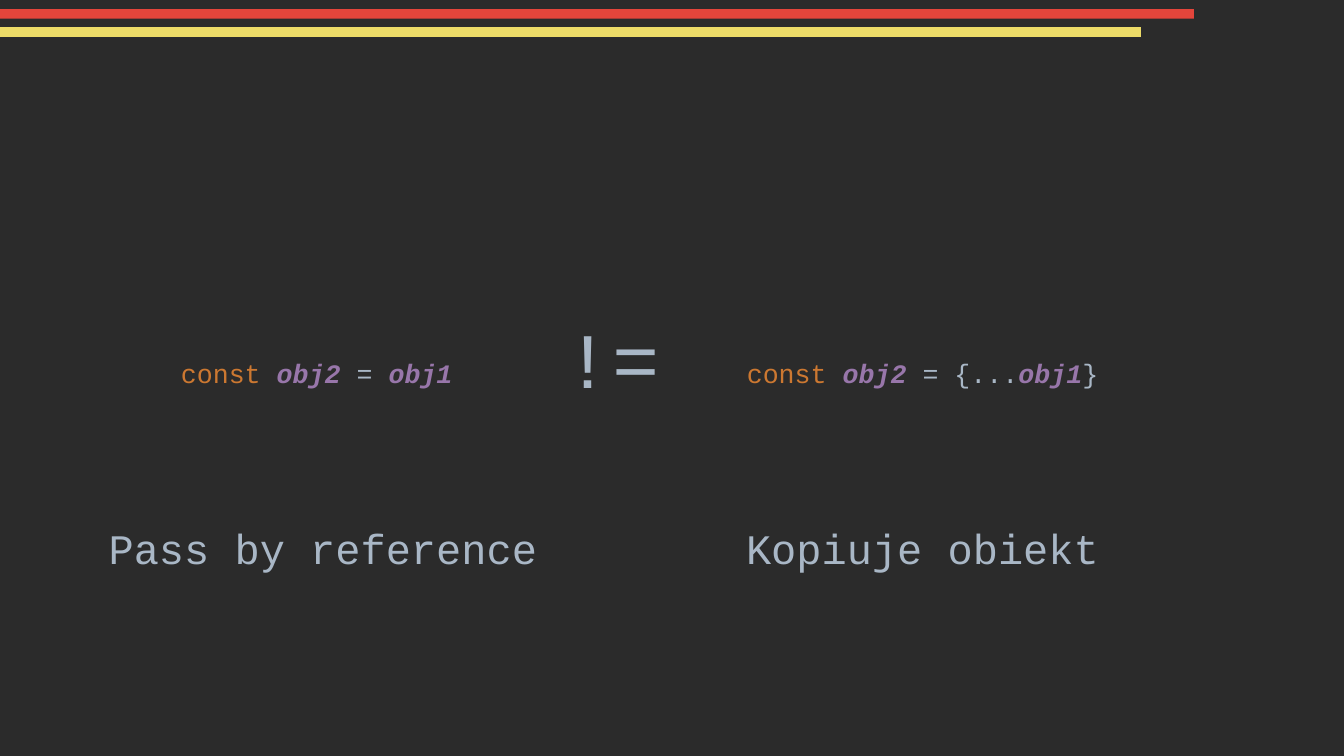
from pptx import Presentation
from pptx.dml.color import RGBColor
from pptx.enum.shapes import MSO_SHAPE
from pptx.enum.text import MSO_ANCHOR, PP_ALIGN
from pptx.util import Inches, Pt

FONT = "Courier New"
BACKGROUND, YELLOW, RED = "2B2B2B", "ECDB68", "E3453B"
PLAIN, KEYWORD, NAME = "A9B7C6", "CC7831", "9876AA"

# left, top, width, height, colour
BARS = [
    (-0.16, 0.54, 22.8, 0.19, YELLOW),
    (-1.2, 0.18, 24.89, 0.19, RED),
]

# left, width, spans of (text, colour)
SNIPPETS = [
    (3.53, 7.96, [("const ", KEYWORD), ("obj2 ", NAME), ("= ", PLAIN),
                  ("obj1", NAME)]),
    (14.76, 11.53, [("const ", KEYWORD), ("obj2 ", NAME), ("= {...", PLAIN),
                    ("obj1", NAME), ("}", PLAIN)]),
]
SNIPPET_TOP, SNIPPET_HEIGHT = 4.75, 5.31

CAPTIONS = [(2.06, "Pass by reference"), (13.96, "Kopiuje obiekt")]
CAPTION_TOP, CAPTION_WIDTH, CAPTION_HEIGHT = 9.6, 8.69, 2.55


def rgb(value):
    """Turn a hex string into a colour."""
    return RGBColor.from_string(value)


def add_bar(page, left, top, width, height, colour):
    """Add a flat stripe without outline."""
    bar = page.shapes.add_shape(
        MSO_SHAPE.RECTANGLE, *map(Inches, (left, top, width, height)))
    bar.shadow.inherit = False
    bar.fill.solid()
    bar.fill.fore_color.rgb = rgb(colour)
    bar.line.fill.background()


def add_text(page, place, spans, size, align=PP_ALIGN.LEFT,
             anchor=MSO_ANCHOR.MIDDLE):
    """Add one line of coloured spans; names are bold italic."""
    box = page.shapes.add_textbox(*map(Inches, place))
    frame = box.text_frame
    frame.word_wrap = True
    frame.vertical_anchor = anchor
    frame.margin_left = frame.margin_right = Inches(0.06)
    frame.margin_top = frame.margin_bottom = Inches(0.06)
    para = frame.paragraphs[0]
    para.alignment = align
    para.font.name = FONT
    para.font.size = Pt(size)
    for text, colour in spans:
        span = para.add_run()
        span.text = text
        span.font.color.rgb = rgb(colour)
        span.font.bold = span.font.italic = colour == NAME


deck = Presentation()
deck.slide_width, deck.slide_height = Inches(26.67), Inches(15)
page = deck.slides.add_slide(deck.slide_layouts[6])
page.background.fill.solid()
page.background.fill.fore_color.rgb = rgb(BACKGROUND)

add_text(page, (11.15, 6.09, 2.05, 2.82), [("!=", PLAIN)], 112.3,
         anchor=MSO_ANCHOR.TOP)
for bar in BARS:
    add_bar(page, *bar)
for left, width, spans in SNIPPETS:
    add_text(page, (left, SNIPPET_TOP, width, SNIPPET_HEIGHT), spans, 38)
for left, caption in CAPTIONS:
    add_text(page, (left, CAPTION_TOP, CAPTION_WIDTH, CAPTION_HEIGHT),
             [(caption, PLAIN)], 60, PP_ALIGN.CENTER)

deck.save("out.pptx")
